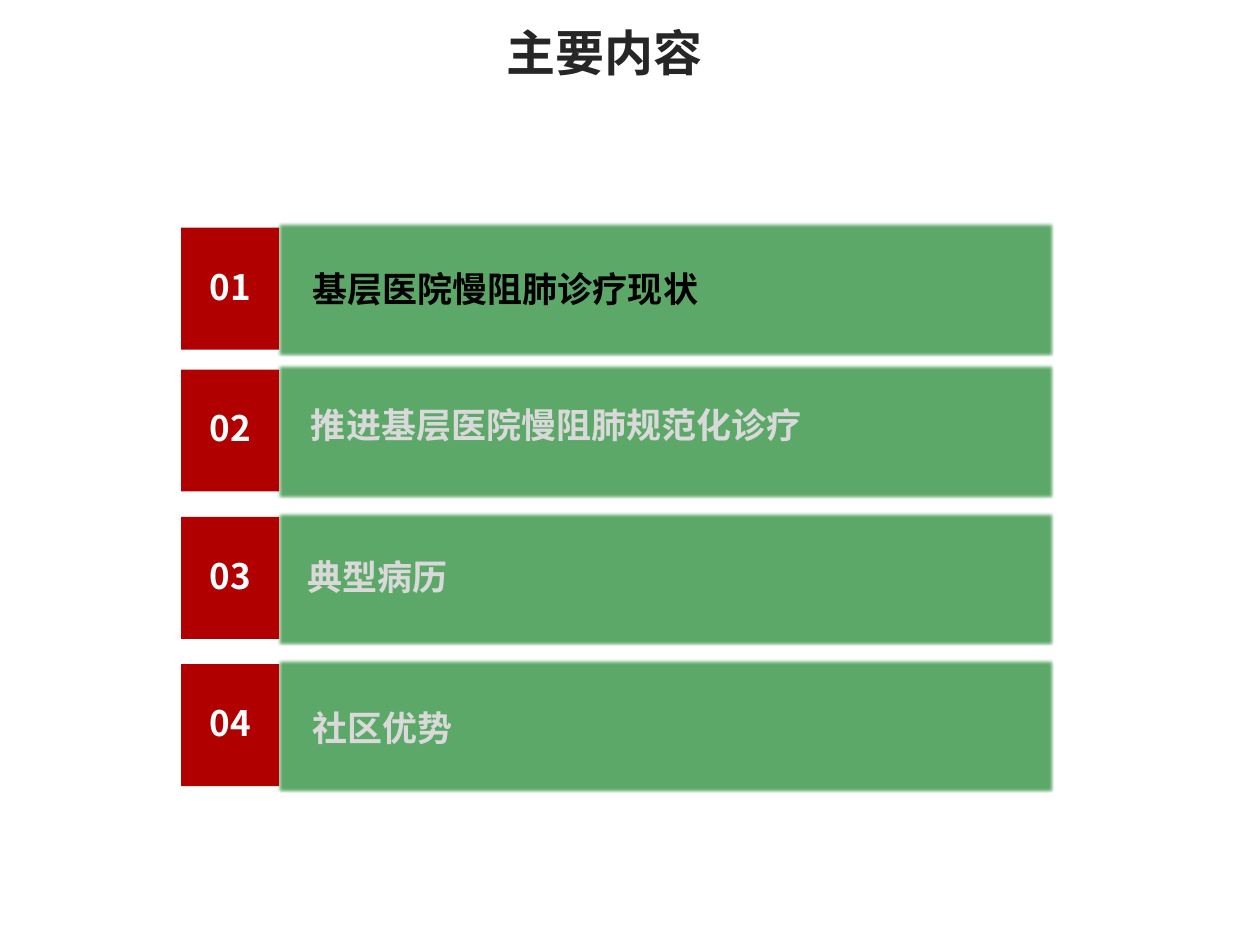
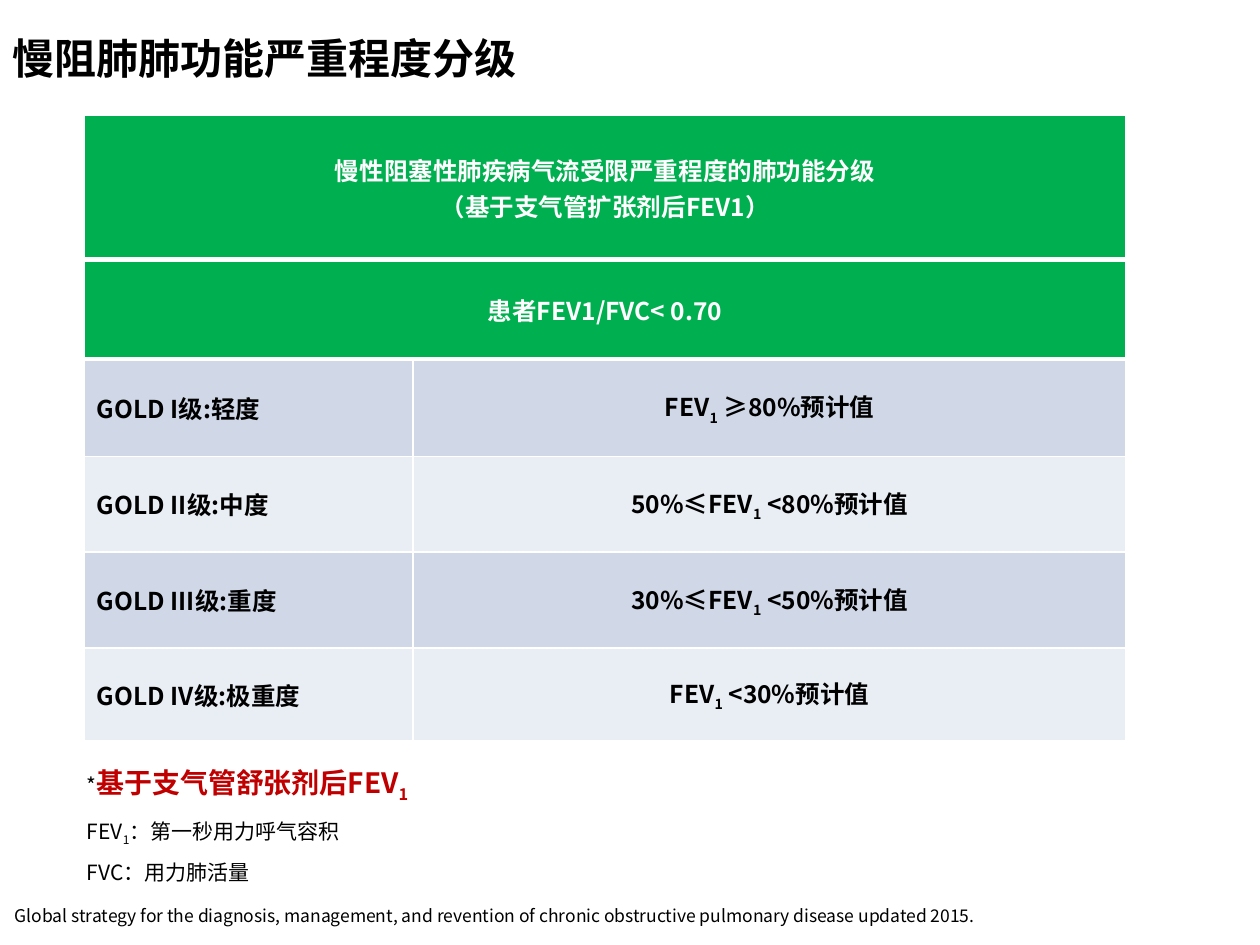
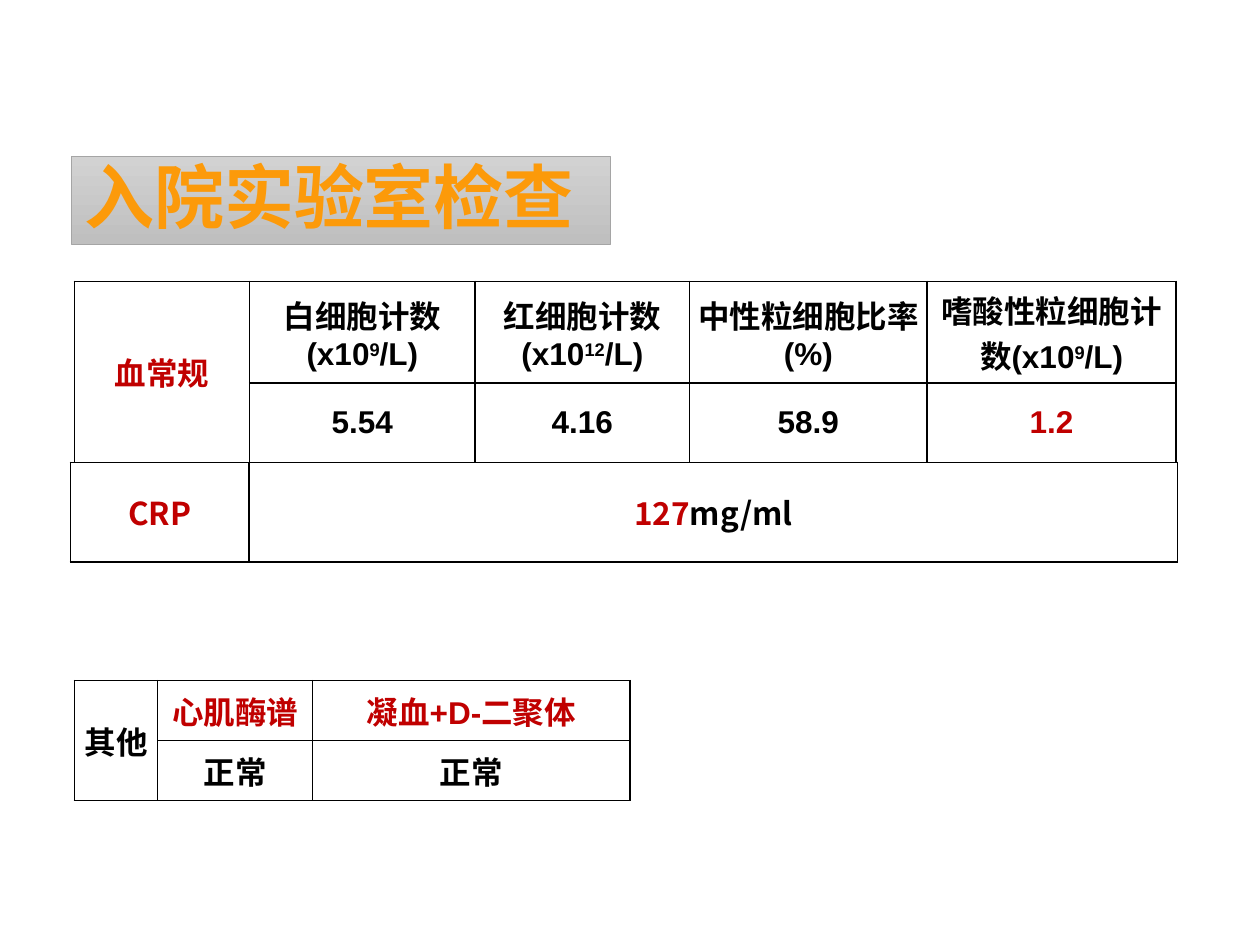
from dataclasses import dataclass
from typing import Optional

from lxml.etree import SubElement
from pptx import Presentation
from pptx.dml.color import RGBColor
from pptx.enum.shapes import MSO_SHAPE
from pptx.enum.text import MSO_ANCHOR, PP_ALIGN
from pptx.oxml import parse_xml
from pptx.oxml.ns import nsdecls, qn
from pptx.util import Cm, Pt

COLORS = {
    "white": "FFFFFF",
    "black": "000000",
    "title": "262626",
    "band": "5CA869",
    "number": "B00000",
    "dimmed": "D9D9D9",
    "alert": "C00000",
    "header": "00B050",
    "row_dark": "D0D8E8",
    "row_light": "E9EDF4",
    "orange": "FC9A0A",
    "grey_top": "D2D2D2",
    "grey_bottom": "BFBFBF",
    "grey_line": "A5A5A5",
}
SANS = "Noto Sans CJK SC"
SANS_TITLE = "Noto Sans CJK JP"
LATIN = "Arial"


@dataclass
class Span:
    text: str
    baseline: int = 0
    color: Optional[str] = None
    size: Optional[float] = None
    bold: Optional[bool] = None


@dataclass
class Style:
    size: float
    color: str = "black"
    bold: bool = True
    font: str = SANS
    align: PP_ALIGN = PP_ALIGN.LEFT
    line_spacing: Optional[float] = None


def sub(text):
    return Span(text, baseline=-25)


def sup(text):
    return Span(text, baseline=30)


def rgb(name):
    return RGBColor.from_string(COLORS[name])


def fill_paragraph(paragraph, spans, style):
    """Write spans (one string, or a list of strings and Spans) in one style."""
    properties = paragraph._p.get_or_add_pPr()
    paragraph.alignment = style.align
    if style.line_spacing:
        paragraph.line_spacing = style.line_spacing
    font = paragraph.font
    font.name, font.size, font.bold = style.font, Pt(style.size), style.bold
    font.color.rgb = rgb(style.color)
    east_asian = SANS if style.font == LATIN else style.font
    SubElement(properties.find(qn("a:defRPr")), qn("a:ea"), typeface=east_asian)

    for span in [spans] if isinstance(spans, str) else spans:
        if isinstance(span, str):
            span = Span(span)
        run = paragraph.add_run()
        run.text = span.text
        if span.baseline:
            run._r.get_or_add_rPr().set("baseline", str(span.baseline * 1000))
        if span.color:
            run.font.color.rgb = rgb(span.color)
        if span.size:
            run.font.size = Pt(span.size)
        if span.bold is not None:
            run.font.bold = span.bold


def fill_text(frame, paragraphs, style):
    frame.word_wrap = True
    for index, spans in enumerate(paragraphs):
        paragraph = frame.add_paragraph() if index else frame.paragraphs[0]
        fill_paragraph(paragraph, spans, style)


def add_text(page, left, top, width, height, paragraphs, style):
    box = page.shapes.add_textbox(Cm(left), Cm(top), Cm(width), Cm(height))
    fill_text(box.text_frame, paragraphs, style)
    return box


def add_rectangle(page, left, top, width, height, color):
    box = page.shapes.add_shape(
        MSO_SHAPE.RECTANGLE, Cm(left), Cm(top), Cm(width), Cm(height))
    box.shadow.inherit = False
    box.fill.solid()
    box.fill.fore_color.rgb = rgb(color)
    box.line.fill.background()
    return box


def add_glowing_band(page, left, top, width, height):
    """Add a slightly transparent band with a thin glow of its own colour."""
    band = add_rectangle(page, left, top, width, height, "band")
    properties = band._element.spPr
    color = properties.find(qn("a:solidFill"))[0]
    SubElement(color, qn("a:alpha"), val="96000")
    glow = SubElement(properties.find(qn("a:effectLst")), qn("a:glow"),
                      rad=str(Pt(2.5)))
    SubElement(glow, qn("a:srgbClr"), val=COLORS["band"])


def add_agenda_item(page, number, label, color, top, label_left, label_top):
    add_glowing_band(page, 5.76, top + 0.06, 15.31, 2.36)
    add_rectangle(page, 3.65, top, 1.98, 2.46, "number")
    add_text(page, 3.87, top + 0.63, 1.55, 1.12, [f"{number:02}"],
             Style(20, "white", align=PP_ALIGN.CENTER))
    add_text(page, label_left, label_top, 14, 1.12, [label], Style(20, color))


def set_borders(cell, color, top=1, bottom=1):
    properties = cell._tc.get_or_add_tcPr()
    sides = {"lnL": 1, "lnR": 1, "lnT": top, "lnB": bottom}
    for index, (side, width) in enumerate(sides.items()):
        properties.insert(index, parse_xml(
            f'<a:{side} {nsdecls("a")} w="{Pt(width)}"><a:solidFill>'
            f'<a:srgbClr val="{COLORS[color]}"/></a:solidFill></a:{side}>'))


def fill_cell(cell, paragraphs, style):
    cell.vertical_anchor = MSO_ANCHOR.MIDDLE
    fill_text(cell.text_frame, paragraphs, style)


def add_plain_table(page, left, top, columns, rows):
    """Add a table without style bands, with the given widths and heights."""
    table = page.shapes.add_table(
        len(rows), len(columns), Cm(left), Cm(top),
        Cm(sum(columns)), Cm(sum(rows))).table
    table.first_row = table.horz_banding = False
    for column, width in zip(table.columns, columns):
        column.width = Cm(width)
    for row, height in zip(table.rows, rows):
        row.height = Cm(height)
    return table


def add_lab_table(page, left, top, columns, rows, contents, font):
    """Add a black grid; None in the first column merges with the cell above."""
    table = add_plain_table(page, left, top, columns, rows)
    style = Style(18, font=font, align=PP_ALIGN.CENTER)
    for row_index, row in enumerate(contents):
        for column_index, spans in enumerate(row):
            cell = table.cell(row_index, column_index)
            cell.fill.background()
            set_borders(cell, "black")
            cell.margin_left = cell.margin_right = Cm(0.15)
            cell.margin_top = cell.margin_bottom = Cm(0.08)
            if spans is None:
                table.cell(row_index - 1, column_index).merge(cell)
            else:
                fill_cell(cell, [spans], style)


def build_agenda(page):
    add_text(page, 8.03, 0.33, 8.31, 1.45, ["主要内容"],
             Style(28, "title", align=PP_ALIGN.CENTER))
    items = [
        ("基层医院慢阻肺诊疗现状", "black", 4.59, 6.05, 5.26),
        ("推进基层医院慢阻肺规范化诊疗", "dimmed", 7.45, 6.02, 8.0),
        ("典型病历", "dimmed", 10.42, 5.94, 11.07),
        ("社区优势", "dimmed", 13.39, 6.05, 14.12),
    ]
    for number, item in enumerate(items, 1):
        add_agenda_item(page, number, *item)


def add_severity_table(page):
    table = add_plain_table(page, 1.7, 2.33, [6.63, 14.37],
                            [2.9, 2.01, 1.96, 1.93, 1.93, 1.88])
    headers = [
        ["慢性阻塞性肺疾病气流受限严重程度的肺功能分级",
         "（基于支气管扩张剂后FEV1）"],
        ["患者FEV1/FVC< 0.70"],
    ]
    grades = [
        ("GOLD I级:轻度", ["FEV", sub("1"), " ≥80%预计值"]),
        ("GOLD II级:中度", ["50%≤FEV", sub("1"), " <80%预计值"]),
        ("GOLD III级:重度", ["30%≤FEV", sub("1"), " <50%预计值"]),
        ("GOLD IV级:极重度", ["FEV", sub("1"), " <30%预计值"]),
    ]
    fills = ["header"] * 2 + ["row_dark", "row_light"] * 2
    for index, (row, color) in enumerate(zip(table.rows, fills)):
        for cell in row.cells:
            cell.fill.solid()
            cell.fill.fore_color.rgb = rgb(color)
            set_borders(cell, "white", top=3 if index in (1, 2) else 1,
                        bottom=3 if index < 2 else 1)

    for index, lines in enumerate(headers):
        table.cell(index, 0).merge(table.cell(index, 1))
        fill_cell(table.cell(index, 0), lines,
                  Style(14, "white", align=PP_ALIGN.CENTER))
    for index, (grade, criterion) in enumerate(grades, len(headers)):
        fill_cell(table.cell(index, 0), [grade], Style(14))
        fill_cell(table.cell(index, 1), [criterion],
                  Style(14, align=PP_ALIGN.CENTER))


def build_severity(page):
    add_text(page, 0, 0.53, 20.5, 1.3, ["慢阻肺肺功能严重程度分级"], Style(24))
    emphasis = {"color": "alert", "size": 16, "bold": True}
    notes = [
        ["*", Span("基于支气管舒张剂后FEV", **emphasis),
         Span("1", baseline=-25, **emphasis)],
        ["FEV", sub("1"), "：第一秒用力呼气容积"],
        "FVC：用力肺活量",
    ]
    add_text(page, 1.5, 14.93, 9.5, 2.82, notes,
             Style(12, bold=False, line_spacing=1.5))
    add_text(page, 0.05, 18.16, 23.65, 0.76,
             ["Global strategy for the diagnosis, management, and revention of "
              "chronic obstructive pulmonary disease updated 2015."],
             Style(10, bold=False, line_spacing=0.9))
    add_severity_table(page)


def build_lab_results(page):
    heading = add_rectangle(page, 1.45, 3.16, 10.85, 1.76, "grey_top")
    heading.fill.gradient()
    heading.fill.gradient_angle = 270
    for stop, color in zip(heading.fill.gradient_stops, ("grey_top", "grey_bottom")):
        stop.color.rgb = rgb(color)
    heading.line.color.rgb = rgb("grey_line")
    heading.line.width = Pt(0.5)
    heading.text_frame.vertical_anchor = MSO_ANCHOR.MIDDLE
    fill_text(heading.text_frame, ["入院实验室检查"],
              Style(40, "orange", font=SANS_TITLE, line_spacing=0.9))

    def red(text):
        return Span(text, color="alert")

    blood = [
        [[red("血常规")],
         ["白细胞计数(x10", sup("9"), "/L)"],
         ["红细胞计数(x10", sup("12"), "/L)"],
         "中性粒细胞比率(%)",
         ["嗜酸性粒细胞计数(x10", sup("9"), "/L)"]],
        [None, "5.54", "4.16", "58.9", [red("1.2")]],
    ]
    protein = [[[red("CRP")], [red("127"), "mg/ml"]]]
    others = [
        ["其他", [red("心肌酶谱")], [red("凝血+D-二聚体")]],
        [None, "正常", "正常"],
    ]
    add_lab_table(page, 1.5, 5.67, [3.53, 4.55, 4.32, 4.79, 5.02],
                  [2.05, 1.6], blood, LATIN)
    add_lab_table(page, 1.42, 9.32, [3.6, 18.72], [2.01], protein, SANS)
    add_lab_table(page, 1.5, 13.72, [1.68, 3.12, 6.4], [1.21, 1.21], others, LATIN)


def main():
    deck = Presentation()
    deck.slide_width, deck.slide_height = Cm(25.4), Cm(19.05)
    blank = deck.slide_layouts[6]
    for build in (build_agenda, build_severity, build_lab_results):
        build(deck.slides.add_slide(blank))
    deck.save("out.pptx")


if __name__ == "__main__":
    main()
